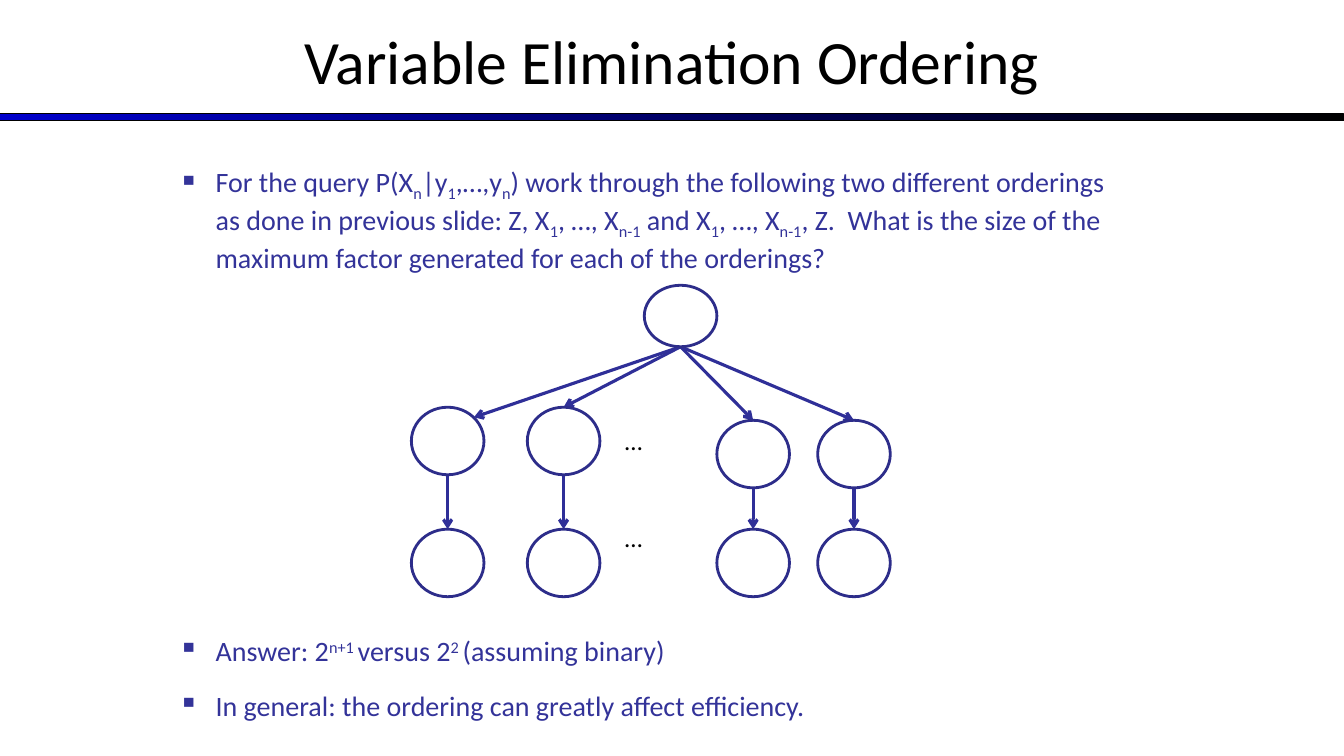
from dataclasses import dataclass

from lxml.etree import SubElement
from pptx import Presentation
from pptx.dml.color import RGBColor
from pptx.enum.shapes import MSO_CONNECTOR, MSO_SHAPE
from pptx.enum.text import MSO_ANCHOR, PP_ALIGN
from pptx.oxml.ns import qn
from pptx.util import Pt

SCALE = 9144


@dataclass(frozen=True)
class Theme:
    """Colours, font and sizes of the slide."""
    font: str = "Calibri"
    black: RGBColor = RGBColor.from_string("000000")
    white: RGBColor = RGBColor.from_string("FFFFFF")
    blue: RGBColor = RGBColor.from_string("0000CC")
    body: RGBColor = RGBColor.from_string("333399")
    ring: RGBColor = RGBColor.from_string("2D2D8A")
    arrow: RGBColor = RGBColor.from_string("2F2F98")
    head: int = 44
    copy: int = 20
    dots: int = 18


THEME = Theme()


def emu(*sizes):
    """Turn px into EMU."""
    return [size * SCALE for size in sizes]


def style(run, size, color):
    """Set the font of one run."""
    run.font.name = THEME.font
    run.font.size = Pt(size)
    run.font.color.rgb = color


def add_text(slide, box, text, size, wrap=True):
    """Add a black one-line text and return its frame."""
    frame = slide.shapes.add_textbox(*emu(*box)).text_frame
    frame.word_wrap = wrap
    frame.text = text
    style(frame.paragraphs[0].runs[0], size, THEME.black)
    return frame


def add_shape(slide, kind, box, color, width):
    """Add an outlined shape without shadow."""
    shape = slide.shapes.add_shape(kind, *emu(*box))
    shape.shadow.inherit = False
    shape.line.color.rgb = color
    shape.line.width = Pt(width)
    return shape


def add_title(slide, box):
    """Place the title and the gradient bar that crosses its foot."""
    left, top, width, height = box
    bar = add_shape(slide, MSO_SHAPE.RECTANGLE,
                    (left, top + height - 9, width, 7), THEME.black, 0.75)
    bar.fill.gradient()
    bar.fill.gradient_angle = 0
    for stop, color, place in zip(bar.fill.gradient_stops,
                                  (THEME.blue, THEME.black), (0, 1)):
        stop.color.rgb = color
        stop.position = place
    frame = add_text(slide, box, "Variable Elimination Ordering", THEME.head)
    frame.vertical_anchor = MSO_ANCHOR.MIDDLE
    frame.paragraphs[0].alignment = PP_ALIGN.CENTER


def add_points(slide, box, points, shift):
    """Place bullets whose parts between tildes are shifted by a percentage."""
    frame = slide.shapes.add_textbox(*emu(*box)).text_frame
    frame.word_wrap = True
    for index, point in enumerate(points):
        para = frame.add_paragraph() if index else frame.paragraphs[0]
        props = para._p.get_or_add_pPr()
        props.set("marL", str(37 * SCALE))
        props.set("indent", str(-37 * SCALE))
        tint = SubElement(props, qn("a:buClr"))
        SubElement(tint, qn("a:srgbClr"), val=str(THEME.body))
        SubElement(props, qn("a:buChar"), char="▪")
        if index:
            para.space_before = Pt(15)
        for order, part in enumerate(point.split("~")):
            run = para.add_run()
            run.text = part
            style(run, THEME.copy, THEME.body)
            if order % 2:
                run.font._element.set("baseline", str(shift * 1000))


def add_arrow(slide, start, end):
    """Draw an arrow between two points."""
    line = slide.shapes.add_connector(MSO_CONNECTOR.STRAIGHT, *emu(*start, *end))
    line.line.color.rgb = THEME.arrow
    line.line.width = Pt(2.25)
    SubElement(line.line._get_or_add_ln(), qn("a:tailEnd"), type="arrow")
    SubElement(line._element.spPr, qn("a:effectLst"))


def add_node(slide, left, top, width, height):
    """Draw one empty node."""
    node = add_shape(slide, MSO_SHAPE.OVAL, (left, top, width, height), THEME.ring, 2)
    node.fill.solid()
    node.fill.fore_color.rgb = THEME.white


def add_graph(slide, box):
    """Place the root, its four children and their leaves."""
    left, top, width, height = box
    wide, high, crown = 72, 67, 61
    root = left + 231
    foot = (root + wide // 2, top + crown)
    leaf = top + height - high
    columns = ((0, 121, 26, 10), (115, 121, 0, 0),
               (303, 134, 0, 0), (width - wide, 134, 0, 0))
    for across, down, right, drop in columns:
        side, level = left + across, top + down
        mid = side + wide // 2
        add_arrow(slide, foot, (mid + right, level + drop))
        add_arrow(slide, (mid, level + high), (mid, leaf))
        add_node(slide, side, level, wide, high)
        add_node(slide, side, leaf, wide, high)
    add_node(slide, root, top, wide, crown)
    for down in (134, 230):
        add_text(slide, (left + 202, top + down, 65, 65), "…", THEME.dots, False)


def main():
    """Build and save the slide."""
    deck = Presentation()
    deck.slide_width, deck.slide_height = emu(1333, 750)
    slide = deck.slides.add_slide(deck.slide_layouts[6])
    add_title(slide, (0, -3, 1333, 125))
    add_points(slide, (167, 158, 950, 125), [
        "For the query P(X~n~|y~1~,…,y~n~) work through the following two "
        "different orderings as done in previous slide: Z, X~1~, …, X~n-1~ "
        "and X~1~, …, X~n-1~, Z.  What is the size of the maximum factor "
        "generated for each of the orderings?"], -25)
    add_graph(slide, (408, 283, 475, 309))
    add_points(slide, (167, 624, 950, 100), [
        "Answer: 2~n+1 ~versus 2~2 ~(assuming binary)",
        "In general: the ordering can greatly affect efficiency."], 30)
    deck.save("out.pptx")


if __name__ == "__main__":
    main()
